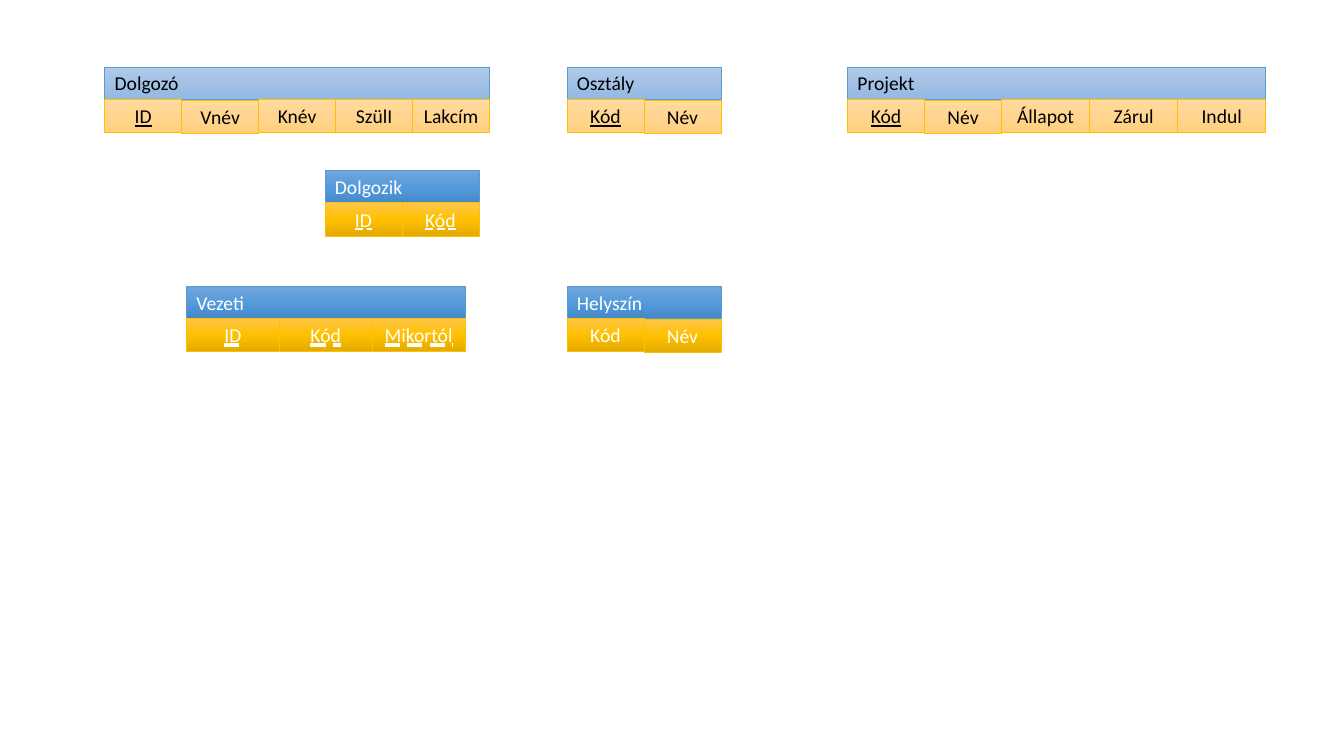
from copy import deepcopy

from pptx import Presentation
from pptx.dml.color import RGBColor
from pptx.enum.shapes import MSO_SHAPE as Preset
from pptx.enum.text import MSO_ANCHOR as Anchor
from pptx.enum.text import MSO_TEXT_UNDERLINE_TYPE as Underline
from pptx.enum.text import PP_ALIGN as Align
from pptx.oxml.ns import qn
from pptx.util import Cm, Pt

COLOURS = {
    "pale": {"header": ("B1CBE9", "A3C1E5", "93B9E4"),
             "field": ("FFDB9E", "FFD590", "FFD07C"), "text": "000000"},
    "strong": {"header": ("71A6DB", "559BDB", "448ACA"),
               "field": ("FFC64B", "FFC000", "E3AB00"), "text": "FFFFFF"},
    "line": {"header": "5B9BD5", "field": "FFC000"},
}
NARROW, MEDIUM, WIDE = 1.94, 2.22, 2.34
HEADER_HEIGHT, FIELD_HEIGHT = 0.81, 0.84
DROP = 0.02  # the second field of some relations sits slightly lower
ENTITY_TOP, LINK_TOP, LOWER_TOP = 1.69, 4.3, 7.21
KEY, DASH, HEAVY = Underline.SINGLE_LINE, Underline.DASH_LINE, Underline.DASH_HEAVY_LINE

# name, tone, left, top, drop of the second field, fields (text, width, underline)
RELATIONS = [
    ("Osztály", "pale", 14.29, ENTITY_TOP, DROP,
     [("Kód", NARROW, KEY), ("Név", NARROW, None)]),
    ("Dolgozó", "pale", 2.64, ENTITY_TOP, DROP,
     [("ID", NARROW, KEY), ("Vnév", NARROW, None), ("Knév", NARROW, None),
      ("SzülI", NARROW, None), ("Lakcím", NARROW, None)]),
    ("Helyszín", "strong", 14.29, LOWER_TOP, DROP,
     [("Kód", NARROW, None), ("Név", NARROW, None)]),
    ("Projekt", "pale", 21.36, ENTITY_TOP, DROP,
     [("Kód", NARROW, KEY), ("Név", NARROW, None), ("Állapot", MEDIUM, None),
      ("Zárul", MEDIUM, None), ("Indul", MEDIUM, None)]),
    ("Dolgozik", "strong", 8.19, LINK_TOP, 0,
     [("ID", NARROW, DASH), ("Kód", NARROW, DASH)]),
    ("Vezeti", "strong", 4.7, LOWER_TOP, 0,
     [("ID", WIDE, HEAVY), ("Kód", WIDE, HEAVY), ("Mikortól", WIDE, HEAVY)]),
]


def fill_gradient(box, hexes):
    """Fill a box from top to bottom with three evenly spaced colours."""
    box.fill.gradient()
    box.fill.gradient_angle = 270
    stops = box._element.spPr.find(qn("a:gradFill")).find(qn("a:gsLst"))
    stops.insert(1, deepcopy(stops[0]))
    for index, (stop, colour) in enumerate(zip(box.fill.gradient_stops, hexes)):
        stop.position = index / 2
        stop.color.rgb = RGBColor.from_string(colour)


def add_box(relation, role, tone, text, frame, align, underline=None):
    """Add one header or field box; frame is left, top, width, height in cm."""
    box = relation.shapes.add_shape(Preset.RECTANGLE, *map(Cm, frame))
    box.shadow.inherit = False
    fill_gradient(box, COLOURS[tone][role])
    box.line.color.rgb = RGBColor.from_string(COLOURS["line"][role])
    box.line.width = Pt(0.5)
    box.text_frame.vertical_anchor = Anchor.MIDDLE
    paragraph = box.text_frame.paragraphs[0]
    paragraph.alignment = align
    run = paragraph.add_run()
    run.text = text
    run.font.name = "Calibri"
    run.font.size = Pt(14)
    run.font.color.rgb = RGBColor.from_string(COLOURS[tone]["text"])
    run.font.underline = underline


def add_relation(slide, name, tone, left, top, drop, fields):
    """Add a relation: its header above a row of fields, as one group."""
    relation = slide.shapes.add_group_shape()
    total = sum(width for _, width, _ in fields)
    add_box(relation, "header", tone, name,
            (left, top, total, HEADER_HEIGHT), Align.LEFT)
    for index, (field, width, underline) in enumerate(fields):
        field_top = top + HEADER_HEIGHT + (drop if index == 1 else 0)
        add_box(relation, "field", tone, field,
                (left, field_top, width, FIELD_HEIGHT), Align.CENTER, underline)
        left += width


deck = Presentation()
deck.slide_width, deck.slide_height = Cm(33.87), Cm(19.05)
schema = deck.slides.add_slide(deck.slide_layouts[6])
for entry in RELATIONS:
    add_relation(schema, *entry)
deck.save("out.pptx")
